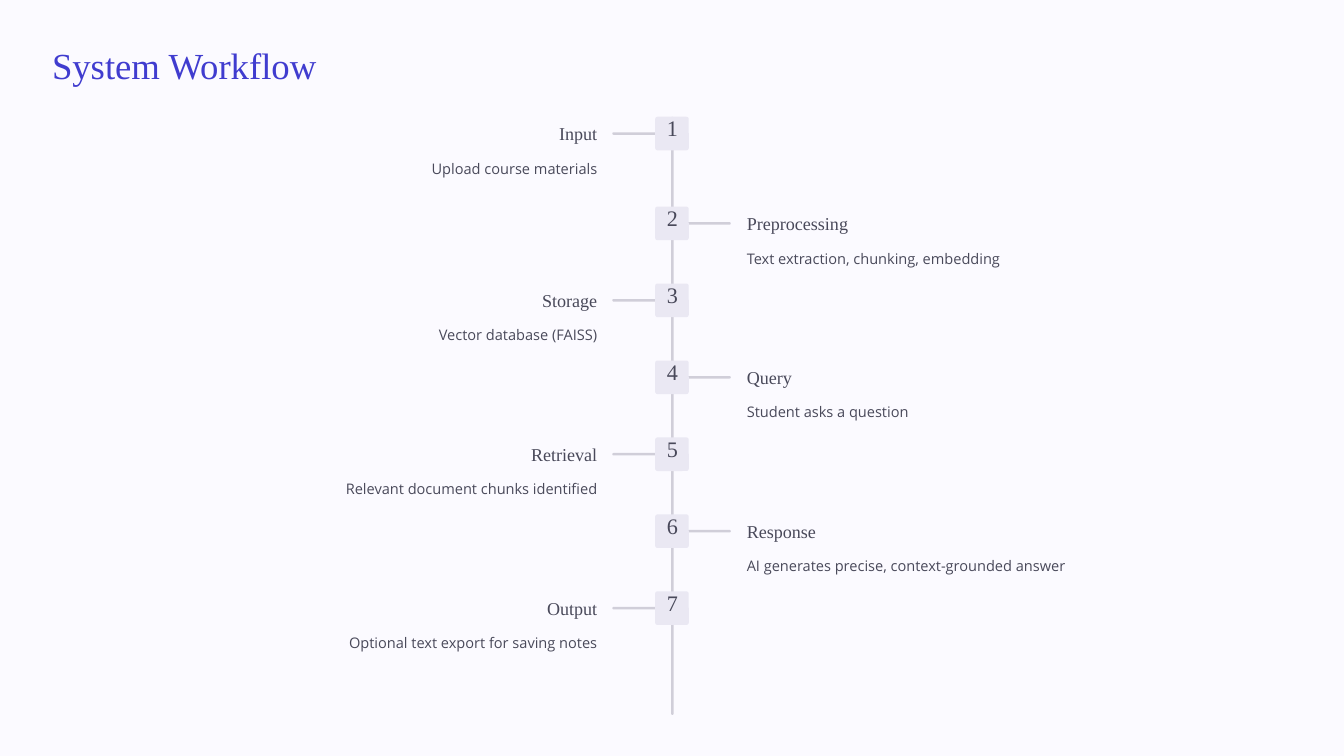
from dataclasses import dataclass

from pptx import Presentation
from pptx.dml.color import RGBColor
from pptx.enum import shapes, text
from pptx.util import Inches, Pt

COLORS = {
    "background": "FBFAFF",
    "title": "403CCF",
    "text": "49495A",
    "line": "D0CED9",
    "badge": "EAE8F3",
}
SERIF, SANS = "Times New Roman", "Open Sans"
LEFT, CENTER, RIGHT = text.PP_ALIGN.LEFT, text.PP_ALIGN.CENTER, text.PP_ALIGN.RIGHT

# Timeline geometry in inches
FIRST_TOP, SECOND_TOP, LAST_TOP = 1.39, 2.46, 7.04
BADGE_LEFT, BADGE_SIZE = 7.8, 0.4
LINE_WIDTH, BRANCH_LENGTH = 0.03, 0.53


@dataclass(frozen=True)
class Step:
    heading: str
    detail: str


@dataclass(frozen=True)
class Side:
    align: text.PP_ALIGN
    branch_left: float
    heading_left: float
    detail_left: float


@dataclass(frozen=True)
class Style:
    font: str
    size: float
    spacing: float
    color: str = "text"


STEPS = [
    Step("Input", "Upload course materials"),
    Step("Preprocessing", "Text extraction, chunking, embedding"),
    Step("Storage", "Vector database (FAISS)"),
    Step("Query", "Student asks a question"),
    Step("Retrieval", "Relevant document chunks identified"),
    Step("Response", "AI generates precise, context-grounded answer"),
    Step("Output", "Optional text export for saving notes"),
]
SIDES = [
    Side(RIGHT, 7.29, 4.9, 0.62),
    Side(LEFT, 8.17, 8.89, 8.89),
]
TITLE = Style(SERIF, 31.5, 39.5, "title")
NUMBER = Style(SERIF, 19, 19)
HEADING = Style(SERIF, 15.5, 19.5)
DETAIL = Style(SANS, 12.5, 20)


def add_bar(slide, left: float, top: float, width: float, height: float,
            color: str, rounding: float = 0.5) -> None:
    shape = slide.shapes.add_shape(
        shapes.MSO_SHAPE.ROUNDED_RECTANGLE,
        Inches(left), Inches(top), Inches(width), Inches(height))
    shape.adjustments[0] = rounding
    shape.shadow.inherit = False
    shape.fill.solid()
    shape.fill.fore_color.rgb = RGBColor.from_string(COLORS[color])
    shape.line.fill.background()


def add_label(slide, content: str, left: float, top: float, width: float,
              height: float, style: Style, align: text.PP_ALIGN = LEFT) -> None:
    box = slide.shapes.add_textbox(
        Inches(left), Inches(top), Inches(width), Inches(height))
    frame = box.text_frame
    frame.word_wrap = False
    frame.margin_left = frame.margin_right = 0
    frame.margin_top = frame.margin_bottom = 0
    paragraph = frame.paragraphs[0]
    paragraph.alignment = align
    paragraph.line_spacing = Pt(style.spacing)
    run = paragraph.add_run()
    run.text = content
    run.font.name = style.font
    run.font.size = Pt(style.size)
    run.font.color.rgb = RGBColor.from_string(COLORS[style.color])


def add_step(slide, index: int, step: Step) -> None:
    pitch = (LAST_TOP - SECOND_TOP) / (len(STEPS) - 2)
    top = SECOND_TOP + (index - 1) * pitch if index else FIRST_TOP
    side = SIDES[index % 2]
    add_bar(slide, side.branch_left, top + (BADGE_SIZE - LINE_WIDTH) / 2,
            BRANCH_LENGTH, LINE_WIDTH, "line")
    add_bar(slide, BADGE_LEFT, top, BADGE_SIZE, BADGE_SIZE, "badge", 0.07)
    add_label(slide, str(index + 1), 7.87, top + 0.03, 0.27, 0.33, NUMBER, CENTER)
    add_label(slide, step.heading, side.heading_left, top + 0.06, 2.21, 0.28,
              HEADING, side.align)
    add_label(slide, step.detail, side.detail_left, top + 0.44, 6.49, 0.28,
              DETAIL, side.align)


def main() -> None:
    presentation = Presentation()
    presentation.slide_width, presentation.slide_height = Inches(16), Inches(9)
    slide = presentation.slides.add_slide(presentation.slide_layouts[6])

    # Background and title
    slide.background.fill.solid()
    slide.background.fill.fore_color.rgb = RGBColor.from_string(COLORS["background"])
    add_label(slide, "System Workflow", 0.62, 0.49, 4.43, 0.55, TITLE)

    # Spine and steps
    add_bar(slide, 7.99, FIRST_TOP, LINE_WIDTH, 7.12, "line")
    for index, step in enumerate(STEPS):
        add_step(slide, index, step)

    presentation.save("out.pptx")


if __name__ == "__main__":
    main()
